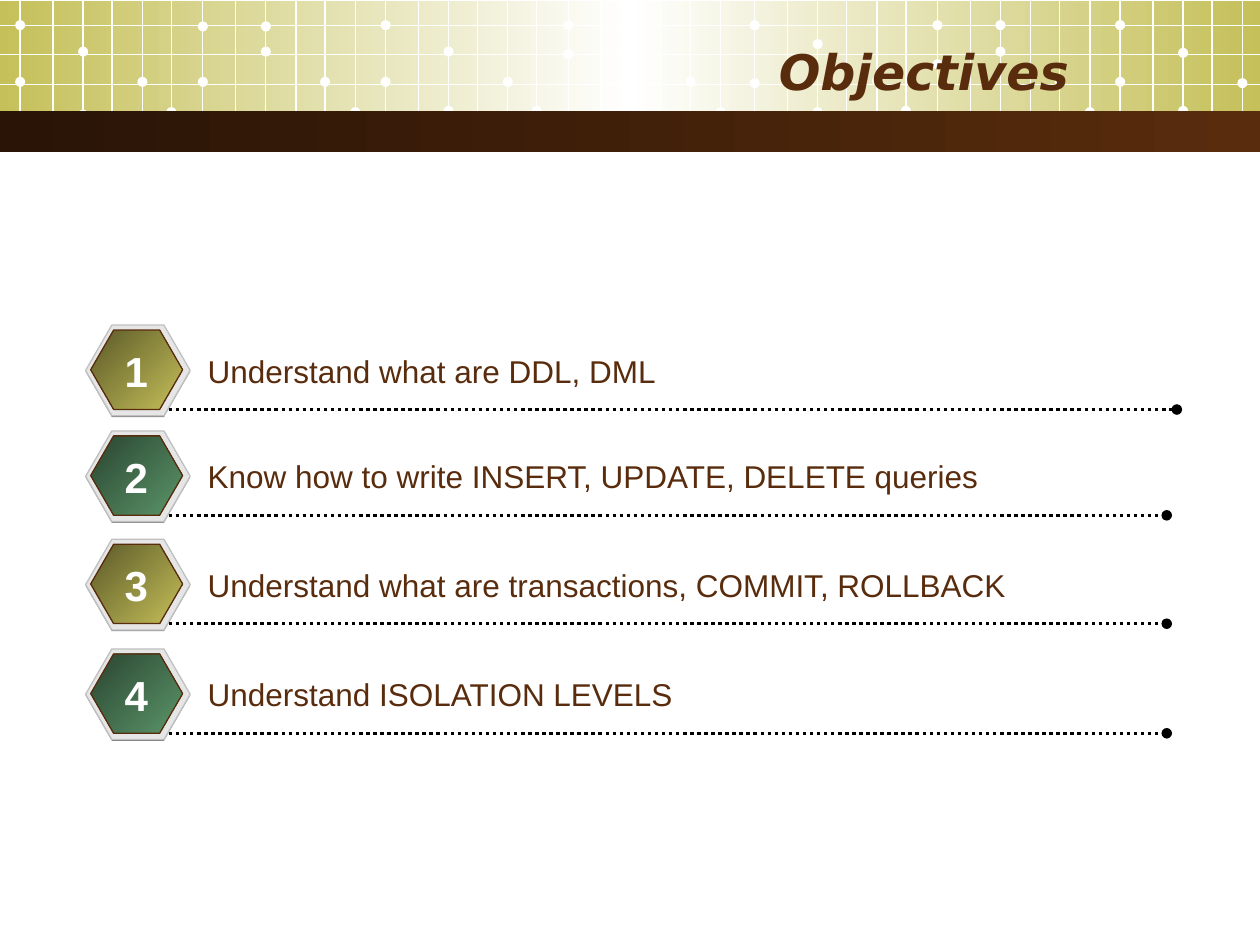
from copy import deepcopy

from lxml.etree import SubElement
from pptx import Presentation
from pptx.dml.color import RGBColor
from pptx.enum.dml import MSO_LINE
from pptx.enum.shapes import MSO_CONNECTOR, MSO_SHAPE
from pptx.enum.text import MSO_ANCHOR, PP_ALIGN
from pptx.oxml.ns import qn
from pptx.util import Inches, Pt

# Content
TITLE = "Objectives"
OBJECTIVES = [  # text, top of the badge, right end of the rule
    ("Understand what are DDL, DML", 2.58, 9.34),
    ("Know how to write INSERT, UPDATE, DELETE queries", 3.42, 9.26),
    ("Understand what are transactions, COMMIT, ROLLBACK", 4.28, 9.26),
    ("Understand ISOLATION LEVELS", 5.15, 9.26),
]
COLORS = {
    "olive": "C5C059", "dark_olive": "5B5929", "green": "5B9569",
    "dark_green": "2A4531", "brown": "592C0D", "dark_brown": "291406",
    "white": "FFFFFF", "black": "000000", "shade": "808080",
    "rim": "E6E6E6", "rim_edge": "C0C0C0",
}
BADGE_GRADIENTS = [("dark_olive", "olive"), ("dark_green", "green")]

# Header grid: one tile of columns repeats across the slide
WIDTH, HEIGHT = 10, 7.5
TILE_STARTS = [0.16, 3.06, 5.99, 8.89]
COLUMNS = [0, 0.26, 0.5, 0.73, 0.97, 1.2, 1.45, 1.71, 1.95, 2.19, 2.42, 2.66]
GRID_ROWS = [0.2, 0.43, 0.67, 0.89]
GRID_BOTTOM = 1.1
DOT = 0.08
DOT_COLUMNS = [0, 0, 2, 2, 4, 5, 6, 6, 8, 8, 10, 11]
DOT_HEIGHTS = [  # dot centres, one list per tile
    [0.65, 0.2, 0.41, 0.91, 0.65, 0.89, 0.65, 0.21, 0.41, 0.21, 0.65, 0.89],
    [0.65, 0.2, 0.41, 0.88, 0.65, 0.88, 0.43, 0.2, 0.42, 0.2, 0.65, 0.89],
    [0.66, 0.2, 0.35, 0.89, 0.64, 0.88, 0.51, 0.2, 0.41, 0.2, 0.65, 0.89],
    [0.65, 0.2, 0.42, 0.88, 0.66],
]

prs = Presentation()
prs.slide_width, prs.slide_height = Inches(WIDTH), Inches(HEIGHT)
slide = prs.slides.add_slide(prs.slide_layouts[6])


def rgb(name):
    return RGBColor.from_string(COLORS[name])


def add_figure(kind, box, fill, edge=None, angle=0):
    """Add a preset shape; fill is a colour name or a tuple of gradient stops."""
    figure = slide.shapes.add_shape(kind, *map(Inches, box))
    figure.shadow.inherit = False
    if isinstance(fill, str):
        figure.fill.solid()
        figure.fill.fore_color.rgb = rgb(fill)
    else:
        figure.fill.gradient()
        figure.fill.gradient_angle = -angle % 360
        stop_list = figure._element.spPr.find(qn("a:gradFill")).find(qn("a:gsLst"))
        for _ in fill[2:]:
            stop_list.append(deepcopy(stop_list[0]))
        for i, (stop, name) in enumerate(zip(figure.fill.gradient_stops, fill)):
            stop.position = i / (len(fill) - 1)
            stop.color.rgb = rgb(name)
    if edge:
        figure.line.color.rgb = rgb(edge)
        figure.line.width = Pt(0.75)
    else:
        figure.line.fill.background()
    return figure


def add_line(x1, y1, x2, y2, color, width):
    line = slide.shapes.add_connector(
        MSO_CONNECTOR.STRAIGHT, *map(Inches, (x1, y1, x2, y2)))
    line.line.color.rgb = rgb(color)
    line.line.width = Pt(width)
    SubElement(line._element.spPr, qn("a:effectLst"))
    return line


def add_text(box, text, size, color, font="Arial", align=PP_ALIGN.LEFT,
             bold=False, italic=False, wrap=True):
    frame = slide.shapes.add_textbox(*map(Inches, box)).text_frame
    frame.word_wrap = wrap
    frame.vertical_anchor = MSO_ANCHOR.MIDDLE
    paragraph = frame.paragraphs[0]
    paragraph.text = text
    paragraph.alignment = align
    paragraph.font.name = font
    paragraph.font.size = Pt(size)
    paragraph.font.bold = bold
    paragraph.font.italic = italic
    paragraph.font.color.rgb = rgb(color)


def add_hexagon(box, fill, edge=None):
    hexagon = add_figure(MSO_SHAPE.HEXAGON, box, fill, edge, angle=45)
    hexagon.adjustments[0] = 0.289
    hexagon.adjustments[1] = 1.1547


# Header band with its grid and dots
add_figure(MSO_SHAPE.RECTANGLE, (0, 0.01, WIDTH, 1.02), ("olive", "white", "olive"))
for start, heights in zip(TILE_STARTS, DOT_HEIGHTS):
    for column in COLUMNS:
        x = start + column
        if x < WIDTH:
            add_line(x, 0, x, GRID_BOTTOM, "white", 0.75)
    for column, y in zip(DOT_COLUMNS, heights):
        x = start + COLUMNS[column]
        add_figure(MSO_SHAPE.OVAL, (x - DOT / 2, y - DOT / 2, DOT, DOT), "white")
for y in GRID_ROWS:
    add_line(0, y, WIDTH, y, "white", 0.75)
add_figure(MSO_SHAPE.RECTANGLE, (0, 0.88, WIDTH, 0.33), ("dark_brown", "brown"))

# Title
add_text((0.5, 0.25, 8.08, 0.62), TITLE, 28, "brown", "DejaVu Sans",
         PP_ALIGN.RIGHT, bold=True, italic=True)

# Numbered objectives
for number, (objective, top, rule_end) in enumerate(OBJECTIVES, 1):
    gradient = BADGE_GRADIENTS[(number - 1) % len(BADGE_GRADIENTS)]
    add_hexagon((0.68, top + 0.01, 0.83, 0.72), "shade")
    add_hexagon((0.68, top, 0.83, 0.72), "rim", "rim_edge")
    add_hexagon((0.72, top + 0.04, 0.73, 0.63), gradient, "brown")

    rule = add_line(1.34, top + 0.67, rule_end, top + 0.67, "black", 2)
    rule.line.dash_style = MSO_LINE.ROUND_DOT
    SubElement(rule.line._get_or_add_ln(), qn("a:tailEnd"), type="oval")

    add_text((1.55, top + 0.16, 7.78, 0.4), objective, 18, "brown")
    add_text((0.89, top + 0.11, 0.38, 0.5), str(number), 24, "white",
             align=PP_ALIGN.CENTER, bold=True, wrap=False)

prs.save("out.pptx")
